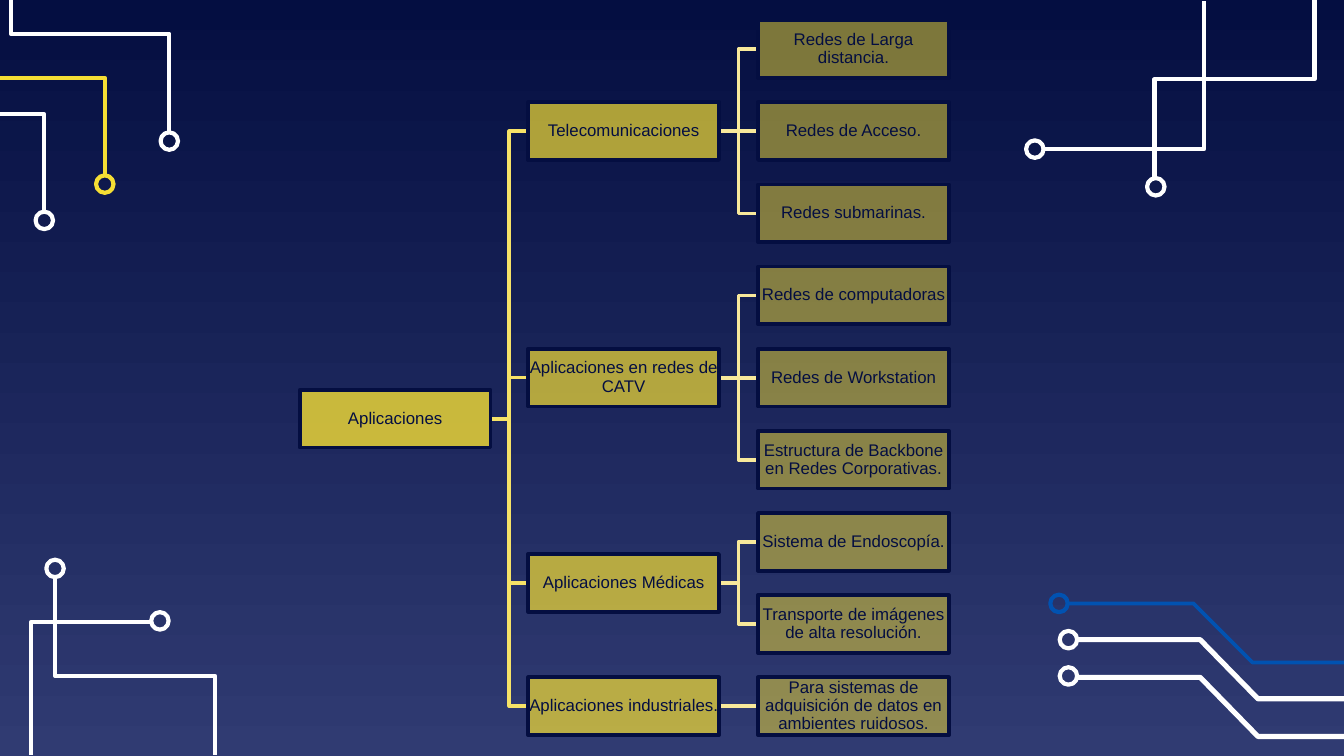
"""Builds a slide with a tree of applications framed by circuit traces."""
import pptx
import pptx.dml.color
import pptx.enum.shapes
import pptx.enum.text
import pptx.oxml
import pptx.oxml.ns
import pptx.util
from lxml import etree

Inches = pptx.util.Inches
Pt = pptx.util.Pt
RGBColor = pptx.dml.color.RGBColor

NAVY = RGBColor(0x04, 0x0E, 0x41)
INDIGO = RGBColor(0x30, 0x3B, 0x72)
YELLOW = RGBColor(0xF5, 0xDE, 0x34)
BRANCH_YELLOW = RGBColor(0xF6, 0xE2, 0x67)
LEAF_YELLOW = RGBColor(0xF8, 0xE9, 0x9B)
BLUE = RGBColor(0x01, 0x52, 0xB1)
WHITE = RGBColor(0xFF, 0xFF, 0xFF)

SLIDE_WIDTH = Inches(10)
SLIDE_HEIGHT = SLIDE_WIDTH * 9 // 16
RING = 0.13
BOX_WIDTH, BOX_HEIGHT = 1.42, 0.43
COLUMNS = (2.23, 3.93, 5.64)
OPACITIES = (80, 70, 50)
FIRST_TOP, LAST_TOP, ROWS = 0.15, 5.04, 9

FRAME_FORMAT = {
    "word_wrap": True,
    "vertical_anchor": pptx.enum.text.MSO_ANCHOR.MIDDLE,
    "margin_left": 0,
    "margin_right": 0,
    "margin_top": Inches(0.01),
    "margin_bottom": Inches(0.01),
}
PARAGRAPH_FORMAT = {"alignment": pptx.enum.text.PP_ALIGN.CENTER, "line_spacing": 0.9}
FONT_FORMAT = {"name": "Arial", "size": Pt(9)}

TRACES = [
    (BLUE, 2, (7.88, 4.49), [(7.95, 4.49), (8.88, 4.49), (9.32, 4.93), (10, 4.93)]),
    (WHITE, 2.75, (7.95, 4.76), [(8.01, 4.76), (8.93, 4.76), (9.36, 5.2), (10, 5.2)]),
    (WHITE, 2.75, (7.95, 5.03), [(8.01, 5.04), (8.93, 5.04), (9.36, 5.48), (10, 5.48)]),
    (WHITE, 2.25, (0.41, 4.23), [(0.41, 4.28), (0.41, 5.03), (1.6, 5.03), (1.6, 5.62)]),
    (WHITE, 2.25, (1.19, 4.62), [(1.13, 4.63), (0.23, 4.63), (0.23, 5.62)]),
    (WHITE, 2.25, (7.7, 1.11), [(7.75, 1.11), (8.96, 1.11), (8.96, 0.01)]),
    (WHITE, 2.25, (8.6, 1.39), [(8.59, 1.33), (8.59, 0.59), (9.78, 0.59), (9.78, 0)]),
    (WHITE, 2.25, (0.33, 1.64), [(0.33, 1.59), (0.33, 0.85), (0, 0.85)]),
    (YELLOW, 2.25, (0.78, 1.37), [(0.78, 1.31), (0.78, 0.58), (0, 0.58)]),
    (WHITE, 2.25, (1.26, 1.05), [(1.26, 0.99), (1.26, 0.25), (0.08, 0.25), (0.08, 0)]),
]

ROOT = "Aplicaciones"
BRANCHES = {
    "Telecomunicaciones": [
        "Redes de Larga distancia.",
        "Redes de Acceso.",
        "Redes submarinas.",
    ],
    "Aplicaciones en redes de CATV": [
        "Redes de computadoras",
        "Redes de Workstation",
        "Estructura de Backbone en Redes Corporativas.",
    ],
    "Aplicaciones Médicas": [
        "Sistema de Endoscopía.",
        "Transporte de imágenes de alta resolución.",
    ],
    "Aplicaciones industriales.": [
        "Para sistemas de adquisición de datos en ambientes ruidosos.",
    ],
}


def set_outline(shape, color, width):
    shape.shadow.inherit = False
    shape.line.color.rgb = color
    shape.line.width = Pt(width)


def row_top(row):
    return FIRST_TOP + row * (LAST_TOP - FIRST_TOP) / (ROWS - 1)


deck = pptx.Presentation()
deck.slide_width, deck.slide_height = SLIDE_WIDTH, SLIDE_HEIGHT
slide = deck.slides.add_slide(deck.slide_layouts[6])

backdrop = slide.background.fill
backdrop.gradient()
backdrop.gradient_angle = 270
for stop, color, position in zip(backdrop.gradient_stops, (NAVY, INDIGO), (0, 1)):
    stop.color.rgb = color
    stop.position = position

for color, width, (ring_x, ring_y), points in TRACES:
    corners = [(Inches(x), Inches(y)) for x, y in points]
    builder = slide.shapes.build_freeform(*corners[0])
    builder.add_line_segments(corners[1:], close=False)
    trace = builder.convert_to_shape()
    ring = slide.shapes.add_shape(
        pptx.enum.shapes.MSO_SHAPE.OVAL,
        Inches(ring_x - RING / 2), Inches(ring_y - RING / 2), Inches(RING), Inches(RING),
    )
    for part, part_width in ((trace, width), (ring, 2.25)):
        part.fill.background()
        set_outline(part, color, part_width)

boxes = []
links = []
branch_rows = []
next_row = 0
for branch, leaves in BRANCHES.items():
    leaf_rows = range(next_row, next_row + len(leaves))
    branch_row = sum(leaf_rows) / len(leaves)
    branch_rows.append(branch_row)
    boxes.append((1, branch_row, branch))
    boxes += [(2, row, leaf) for row, leaf in zip(leaf_rows, leaves)]
    links += [(1, branch_row, row, LEAF_YELLOW) for row in leaf_rows]
    next_row += len(leaves)
root_row = (branch_rows[0] + branch_rows[-1]) / 2
boxes.insert(0, (0, root_row, ROOT))
links += [(0, root_row, row, BRANCH_YELLOW) for row in branch_rows]

for level, parent_row, child_row, color in links:
    kinds = pptx.enum.shapes.MSO_CONNECTOR
    link = slide.shapes.add_connector(
        kinds.STRAIGHT if parent_row == child_row else kinds.ELBOW,
        Inches(COLUMNS[level] + BOX_WIDTH), Inches(row_top(parent_row) + BOX_HEIGHT / 2),
        Inches(COLUMNS[level + 1]), Inches(row_top(child_row) + BOX_HEIGHT / 2),
    )
    link.line.color.rgb = color
    link.line.width = Pt(2)
    etree.SubElement(link._element.spPr, pptx.oxml.ns.qn("a:effectLst"))

for level, row, label in boxes:
    box = slide.shapes.add_shape(
        pptx.enum.shapes.MSO_SHAPE.RECTANGLE,
        Inches(COLUMNS[level]), Inches(row_top(row)), Inches(BOX_WIDTH), Inches(BOX_HEIGHT),
    )
    box.fill.solid()
    box.fill.fore_color.rgb = YELLOW
    tint = box._element.spPr.find(".//" + pptx.oxml.ns.qn("a:srgbClr"))
    etree.SubElement(tint, pptx.oxml.ns.qn("a:alpha"), val=str(OPACITIES[level] * 1000))
    set_outline(box, NAVY, 2)
    frame = box.text_frame
    frame.text = label
    paragraph = frame.paragraphs[0]
    font = paragraph.runs[0].font
    font.color.rgb = NAVY
    for target, values in (
        (frame, FRAME_FORMAT), (paragraph, PARAGRAPH_FORMAT), (font, FONT_FORMAT),
    ):
        for attribute, value in values.items():
            setattr(target, attribute, value)

deck.save("out.pptx")
